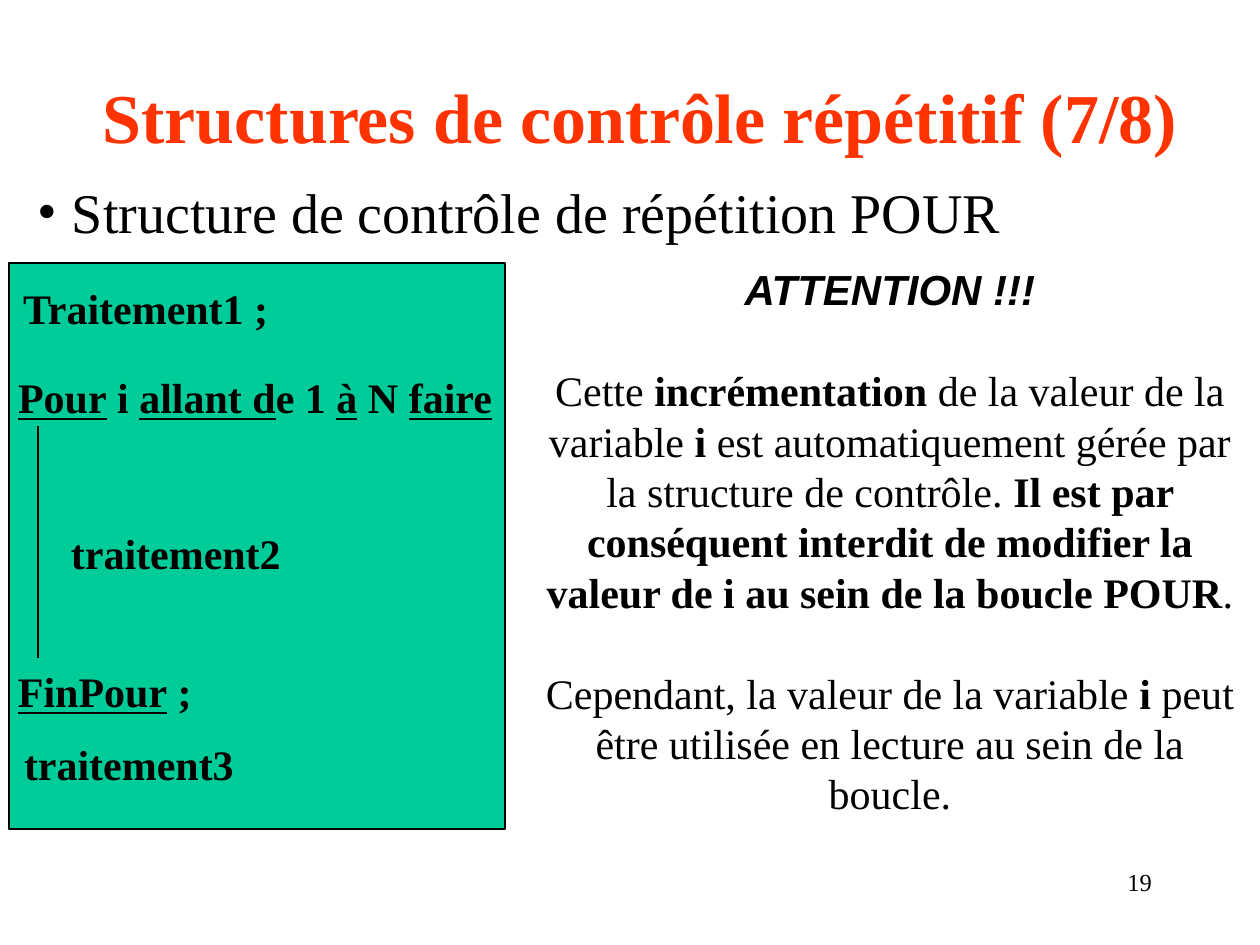
from typing import NamedTuple

from lxml.etree import SubElement
from pptx import Presentation
from pptx.dml.color import RGBColor
from pptx.enum.shapes import MSO_CONNECTOR as Connector, MSO_SHAPE as Shape
from pptx.enum.text import MSO_ANCHOR as Anchor, MSO_AUTO_SIZE as AutoSize, PP_ALIGN as Align
from pptx.oxml.ns import qn
from pptx.util import Emu, Pt

PX_PER_INCH = 126
BLACK = RGBColor(0x00, 0x00, 0x00)
GREEN = RGBColor(0x00, 0xCC, 0x99)
ORANGE = RGBColor(0xFF, 0x33, 0x00)
SERIF = "Times New Roman"
BOLD = {"bold": True}
UNDERLINED = {"bold": True, "underline": True}
PADDING = (13, 6)


class Span(NamedTuple):
    text: str
    style: dict = {}


class Rect(NamedTuple):
    left: int
    top: int
    width: int
    height: int


class CodeLine(NamedTuple):
    rect: Rect
    spans: list[Span]


CODE_LINES = [
    CodeLine(Rect(10, 277, 273, 63), [Span("Traitement1 ;", BOLD)]),
    CodeLine(Rect(5, 366, 500, 63), [
        Span("Pour", UNDERLINED), Span(" i ", BOLD), Span("allant d", UNDERLINED),
        Span("e 1 ", BOLD), Span("à", UNDERLINED), Span(" N ", BOLD),
        Span("faire", UNDERLINED),
    ]),
    CodeLine(Rect(58, 522, 234, 63), [Span("traitement2", BOLD)]),
    CodeLine(Rect(5, 660, 199, 63), [Span("FinPour", UNDERLINED), Span(" ;", BOLD)]),
    CodeLine(Rect(11, 733, 234, 63), [Span("traitement3", BOLD)]),
]

WARNING = [
    [Span("ATTENTION !!!", {"bold": True, "italic": True, "name": "Arial"})],
    [
        Span("Cette "), Span("incrémentation", BOLD),
        Span(" de la valeur de la variable "), Span("i", BOLD),
        Span(" est automatiquement gérée par la structure de contrôle. "),
        Span("Il est par conséquent interdit de modifier la valeur de i "
             "au sein de la boucle POUR", BOLD),
        Span("."),
    ],
    [
        Span("Cependant, la valeur de la variable"), Span(" i", BOLD),
        Span(" peut être utilisée en lecture au sein de la boucle."),
    ],
]


def px(value: int) -> Emu:
    return Emu(round(value * 914400 / PX_PER_INCH))


def place(rect: Rect) -> list[Emu]:
    return [px(value) for value in rect]


def format_frame(frame, padding: tuple[int, int], wrap: bool = True) -> None:
    across, down = (px(value) for value in padding)
    settings = {
        "margin_left": across, "margin_right": across,
        "margin_top": down, "margin_bottom": down,
        "word_wrap": wrap, "auto_size": AutoSize.NONE,
        "vertical_anchor": Anchor.TOP,
    }
    for name, value in settings.items():
        setattr(frame, name, value)


def write_spans(para, spans: list[Span], size: int, color: RGBColor = BLACK) -> None:
    for span in spans:
        run = para.add_run()
        run.text = span.text
        for name, value in ({"name": SERIF, "size": Pt(size)} | span.style).items():
            setattr(run.font, name, value)
        run.font.color.rgb = color


def add_text(page, rect: Rect, paragraphs: list[list[Span]], size: int,
             align: Align = Align.LEFT, padding: tuple[int, int] = PADDING,
             wrap: bool = True):
    frame = page.shapes.add_textbox(*place(rect)).text_frame
    format_frame(frame, padding, wrap)
    for index, spans in enumerate(paragraphs):
        para = frame.add_paragraph() if index else frame.paragraphs[0]
        para.alignment = align
        write_spans(para, spans, size)
    return frame


def add_title(page, text: str) -> None:
    title = page.shapes.title
    title.left, title.top, title.width, title.height = place(Rect(37, 73, 1206, 102))
    format_frame(title.text_frame, (0, 0))
    para = title.text_frame.paragraphs[0]
    para.alignment = Align.CENTER
    write_spans(para, [Span(text, BOLD)], 40, ORANGE)


def add_bullet(para, margin: int, hanging: int) -> None:
    properties = para._p.get_or_add_pPr()
    properties.set("marL", str(px(margin)))
    properties.set("indent", str(-px(hanging)))
    SubElement(properties, qn("a:buFont"), typeface=SERIF)
    SubElement(properties, qn("a:buChar"), char="•")


def add_code_panel(page) -> None:
    panel = page.shapes.add_shape(Shape.RECTANGLE, *place(Rect(9, 263, 496, 566)))
    panel.shadow.inherit = False
    panel.fill.solid()
    panel.fill.fore_color.rgb = GREEN
    panel.line.color.rgb = BLACK
    panel.line.width = Pt(0.75)
    for line in CODE_LINES:
        add_text(page, line.rect, [line.spans], 24, wrap=False)


def add_loop_line(page) -> None:
    line = page.shapes.add_connector(
        Connector.STRAIGHT, px(38), px(426), px(38), px(658))
    line.line.color.rgb = BLACK
    line.line.width = Pt(0.75)
    SubElement(line._element.spPr, qn("a:effectLst"))


def add_warning(page) -> None:
    frame = add_text(page, Rect(530, 258, 720, 567), WARNING, 24, Align.CENTER)
    line_height = Pt(28.8)
    for index, para in enumerate(frame.paragraphs):
        para.line_spacing = line_height
        if index:
            para.space_before = line_height


def main() -> None:
    deck = Presentation()
    deck.slide_width, deck.slide_height = px(1260), px(945)
    page = deck.slides.add_slide(deck.slide_layouts[5])
    add_title(page, "Structures de contrôle répétitif (7/8)")
    heading = add_text(page, Rect(20, 178, 1206, 86),
                       [[Span("Structure de contrôle de répétition POUR")]],
                       32, padding=(0, 0))
    add_bullet(heading.paragraphs[0], 52, 34)
    add_code_panel(page)
    add_loop_line(page)
    add_warning(page)
    add_text(page, Rect(903, 861, 262, 63), [[Span("19")]], 14, Align.RIGHT)
    deck.save("out.pptx")


if __name__ == "__main__":
    main()
